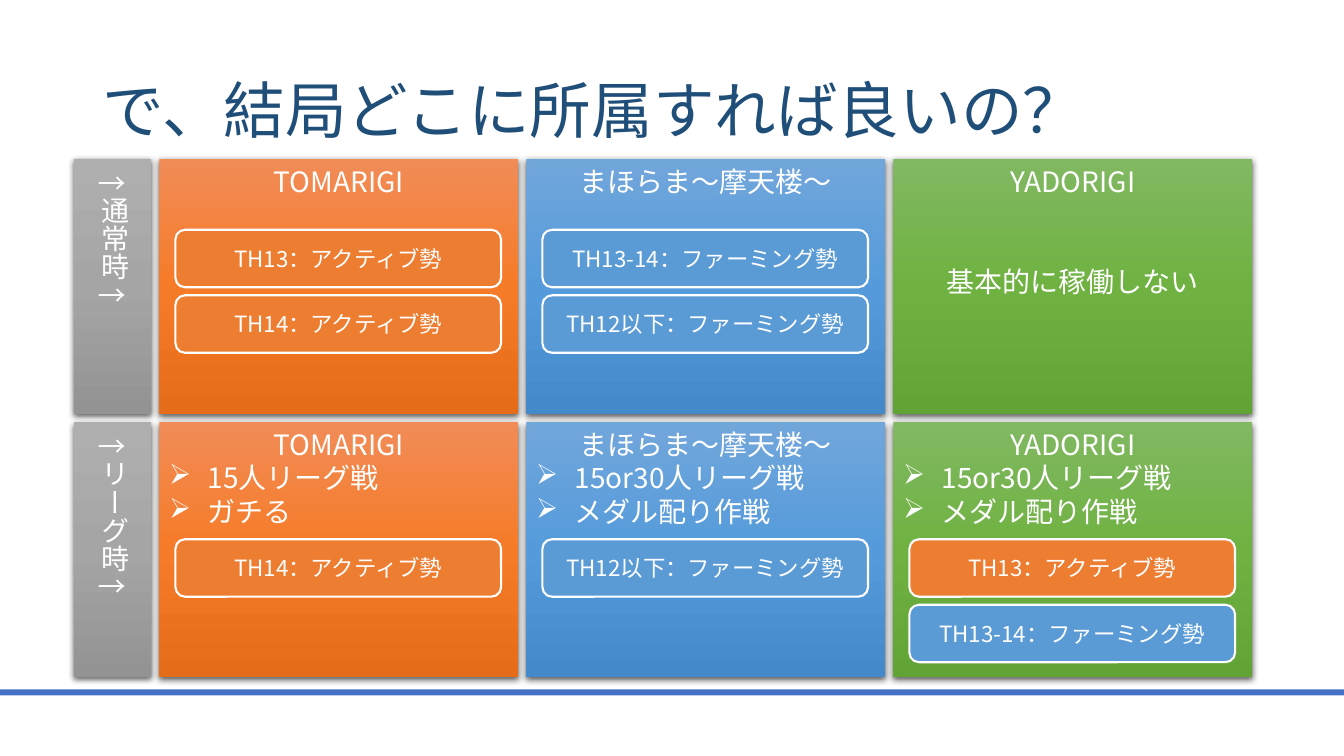
"""Build a slide showing which clan to join in normal times and in league times."""
from copy import deepcopy

from lxml import etree
from pptx import Presentation
from pptx import util as u
from pptx.dml.color import RGBColor
from pptx.enum import shapes, text
from pptx.oxml.ns import qn

FONT = "Noto Sans CJK JP"
ORANGE, BLUE = "ED7D31", "5B9BD5"
GRADIENTS = [
    ("AFAFAF", "A5A5A5", "939393"),
    ("F18C57", "F67B28", "E56C19"),
    ("71A6DB", "559BDB", "448ACA"),
    ("81B861", "6FB242", "62A336"),
]
ROW_TOPS = [1.58, 4.19]
LABELS = ["↑通常時↑", "↑リーグ時↑"]
CLANS = ["TOMARIGI", "まほらま〜摩天楼〜", "YADORIGI"]
LEAGUE_PLANS = [
    ("15人リーグ戦", "ガチる"),
    ("15or30人リーグ戦", "メダル配り作戦"),
    ("15or30人リーグ戦", "メダル配り作戦"),
]
COLUMN_STEP = 3.64
BADGE_TOPS = [2.28, 5.35]
BADGE_STEP = 0.65
BADGES = [
    (0, 0, 0, ORANGE, "TH13：アクティブ勢"),
    (0, 0, 1, ORANGE, "TH14：アクティブ勢"),
    (0, 1, 0, BLUE, "TH13-14：ファーミング勢"),
    (0, 1, 1, BLUE, "TH12以下：ファーミング勢"),
    (1, 0, 0, ORANGE, "TH14：アクティブ勢"),
    (1, 1, 0, BLUE, "TH12以下：ファーミング勢"),
    (1, 2, 0, ORANGE, "TH13：アクティブ勢"),
    (1, 2, 1, BLUE, "TH13-14：ファーミング勢"),
]


def write(paragraph, words, size, color="FFFFFF", align=text.PP_ALIGN.CENTER):
    """Add one formatted run to a paragraph."""
    paragraph.alignment = align
    run = paragraph.add_run()
    run.text = words
    run.font.size = u.Pt(size)
    run.font.color.rgb = RGBColor.from_string(color)
    run.font.name = FONT
    properties = run.font._element
    etree.SubElement(properties, qn("a:ea"), typeface=FONT)


def add_box(kind, left, top, width, height, color):
    """Add a shape with a solid fill and neither outline nor shadow."""
    shape = slide.shapes.add_shape(
        kind, u.Inches(left), u.Inches(top), u.Inches(width), u.Inches(height))
    shape.shadow.inherit = False
    shape.fill.solid()
    shape.fill.fore_color.rgb = RGBColor.from_string(color)
    shape.line.fill.background()
    return shape


presentation = Presentation()
presentation.slide_width = u.Inches(13.33)
presentation.slide_height = u.Inches(7.5)
slide = presentation.slides.add_slide(presentation.slide_layouts[5])

add_box(shapes.MSO_SHAPE.RECTANGLE, 0, 6.84, 13.33, 0.06, "4472C4")

title = slide.shapes.title
title.left, title.top = u.Inches(0.92), u.Inches(0.4)
title.width, title.height = u.Inches(11.5), u.Inches(1.45)
title.text_frame.vertical_anchor = text.MSO_ANCHOR.MIDDLE
heading = title.text_frame.paragraphs[0]
heading.line_spacing = 0.9
write(heading, "で、結局どこに所属すれば良いの？", 44, "1F4E79", text.PP_ALIGN.LEFT)

for row, top in enumerate(ROW_TOPS):
    for column, colors in enumerate(GRADIENTS):
        is_label = column == 0
        left = 0.73 if is_label else 1.58 + COLUMN_STEP * (column - 1)
        width = 0.77 if is_label else 3.56
        panel = add_box(shapes.MSO_SHAPE.RECTANGLE, left, top, width, 2.53, colors[1])

        panel.fill.gradient()
        panel.fill.gradient_angle = 270
        stop_list = panel._element.spPr.find(qn("a:gradFill")).find(qn("a:gsLst"))
        stop_list.append(deepcopy(stop_list[0]))
        for stop, color, position in zip(panel.fill.gradient_stops, colors, (0, 0.5, 1)):
            stop.color.rgb = RGBColor.from_string(color)
            stop.position = position

        effects = panel._element.spPr.find(qn("a:effectLst"))
        shadow = etree.SubElement(
            effects, qn("a:outerShdw"), blurRad=str(u.Pt(4.5)), dist=str(u.Pt(1.5)),
            dir="5400000", algn="ctr", rotWithShape="0")
        shadow_color = etree.SubElement(shadow, qn("a:srgbClr"), val="000000")
        etree.SubElement(shadow_color, qn("a:alpha"), val="63000")

        frame = panel.text_frame
        if is_label:
            frame._txBody.bodyPr.set("vert", "eaVert")
            write(frame.paragraphs[0], LABELS[row], 20)
            continue
        frame.vertical_anchor = text.MSO_ANCHOR.TOP
        clan = CLANS[column - 1]
        write(frame.paragraphs[0], clan, 20)
        if row == 1:
            for plan in LEAGUE_PLANS[column - 1]:
                paragraph = frame.add_paragraph()
                write(paragraph, plan, 20, align=text.PP_ALIGN.LEFT)
                properties = paragraph._p.get_or_add_pPr()
                properties.set("marL", str(u.Inches(0.38)))
                properties.set("indent", str(-u.Inches(0.38)))
                etree.SubElement(properties, qn("a:buChar"), char="➢")
        elif clan == "YADORIGI":
            paragraph = frame.add_paragraph()
            paragraph.space_before = u.Pt(48)
            write(paragraph, "基本的に稼働しない", 20)

for row, column, position, color, members in BADGES:
    badge = add_box(
        shapes.MSO_SHAPE.ROUNDED_RECTANGLE, 1.74 + COLUMN_STEP * column,
        BADGE_TOPS[row] + BADGE_STEP * position, 3.23, 0.57, color)
    badge.line.color.rgb = RGBColor.from_string("FFFFFF")
    badge.line.width = u.Pt(1.5)
    badge.text_frame.vertical_anchor = text.MSO_ANCHOR.MIDDLE
    write(badge.text_frame.paragraphs[0], members, 16)

presentation.save("out.pptx")
